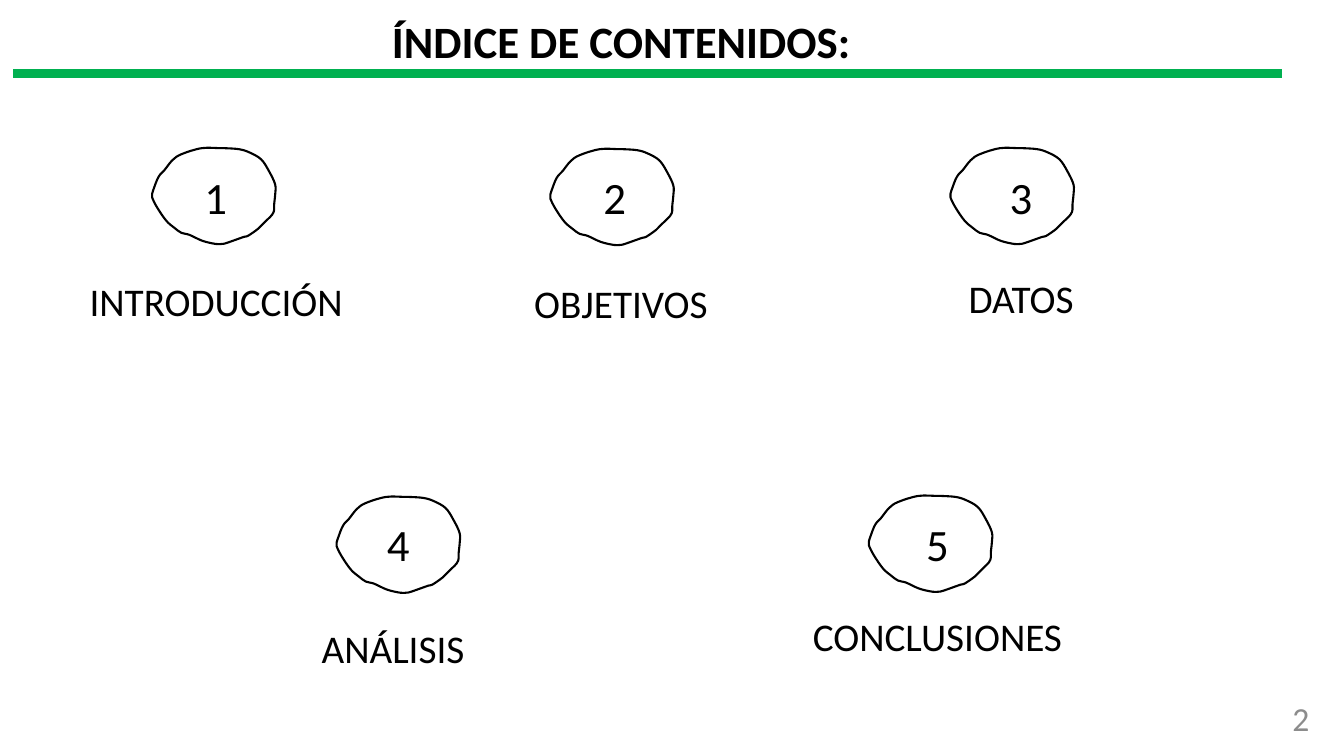
from dataclasses import dataclass

from lxml import etree
from pptx import Presentation
from pptx.dml.color import RGBColor
from pptx.enum.shapes import MSO_CONNECTOR
from pptx.enum.text import MSO_ANCHOR, MSO_AUTO_SIZE, PP_ALIGN
from pptx.oxml.ns import qn
from pptx.slide import Slide
from pptx.util import Inches, Pt

STRAIGHT = MSO_CONNECTOR.STRAIGHT
TOP, MIDDLE = MSO_ANCHOR.TOP, MSO_ANCHOR.MIDDLE
GROW, FIXED = MSO_AUTO_SIZE.SHAPE_TO_FIT_TEXT, MSO_AUTO_SIZE.NONE
LEFT, CENTER, RIGHT = PP_ALIGN.LEFT, PP_ALIGN.CENTER, PP_ALIGN.RIGHT

FONT = "Calibri"
BLACK, GREEN, GRAY = "000000", "00B050", "8C8C8C"

# Hand-drawn ring, in hundredths of an inch from its top left corner
RING = [
    (91, 88), (74, 94), (69, 95), (63, 95), (50, 92), (37, 86), (29, 84),
    (22, 79), (14, 72), (5, 59), (0, 49), (0, 45), (2, 39), (5, 31), (8, 26),
    (12, 22), (20, 12), (29, 6), (49, 0), (68, 0), (72, 0), (86, 1), (96, 4),
    (108, 11), (116, 23), (122, 36), (122, 46), (121, 56), (121, 61),
    (119, 66), (111, 74), (105, 80), (95, 87),
]


@dataclass
class Box:
    left: float
    top: float
    width: float
    height: float


@dataclass
class Section:
    number: str
    title: str
    ring_left: float
    ring_top: float
    number_left: float
    number_top: float
    title_box: Box
    alignment: PP_ALIGN = CENTER


SECTIONS = [
    Section("1", "INTRODUCCIÓN", 1.51, 1.47, 1.79, 1.63, Box(0.79, 2.7, 2.78, 0.57), LEFT),
    Section("2", "OBJETIVOS", 5.46, 1.48, 5.75, 1.63, Box(5.09, 2.72, 2.14, 0.91)),
    Section("3", "DATOS", 9.43, 1.47, 9.78, 1.63, Box(9.06, 2.67, 2.14, 0.91)),
    Section("4", "ANÁLISIS", 3.34, 4.93, 3.6, 5.08, Box(2.83, 6.14, 2.14, 0.91)),
    Section("5", "CONCLUSIONES", 8.62, 4.92, 8.95, 5.08, Box(7.94, 6.03, 2.72, 0.91)),
]


def color(value: str) -> RGBColor:
    return RGBColor.from_string(value)


def add_text(slide: Slide, box: Box, text: str, size: int, alignment: PP_ALIGN = CENTER,
             text_color: str = BLACK, bold: bool = False,
             anchor: MSO_ANCHOR = TOP, auto_size: MSO_AUTO_SIZE = GROW) -> None:
    shape = slide.shapes.add_textbox(
        Inches(box.left), Inches(box.top), Inches(box.width), Inches(box.height))
    frame = shape.text_frame
    frame.word_wrap = True
    frame.auto_size = auto_size
    frame.vertical_anchor = anchor
    paragraph = frame.paragraphs[0]
    paragraph.alignment = alignment
    run = paragraph.add_run()
    run.text = text
    run.font.name = FONT
    run.font.size = Pt(size)
    run.font.bold = bold
    run.font.color.rgb = color(text_color)


def bend(segment: etree.ElementBase, index: int) -> None:
    """Turn the straight segment after a ring point into a smooth curve."""
    before, start, end, after = (RING[(index + shift) % len(RING)] for shift in (-1, 0, 1, 2))
    segment.tag = qn("a:cubicBezTo")
    controls = [
        [s + (e - b) / 6 for b, s, e in zip(before, start, end)],
        [e - (a - s) / 6 for s, e, a in zip(start, end, after)],
    ]
    for position, (x, y) in enumerate(controls):
        point = etree.Element(qn("a:pt"), x=str(Inches(x / 100)), y=str(Inches(y / 100)))
        segment.insert(position, point)


def add_ring(slide: Slide, left: float, top: float) -> None:
    points = [(Inches(left + x / 100), Inches(top + y / 100)) for x, y in RING]
    builder = slide.shapes.build_freeform(*points[0])
    builder.add_line_segments(points[1:] + points[:1], close=True)
    shape = builder.convert_to_shape()
    for index, segment in enumerate(list(shape.element.iter(qn("a:lnTo")))):
        bend(segment, index)
    shape.shadow.inherit = False
    shape.fill.background()
    shape.line.color.rgb = color(BLACK)
    shape.line.width = Pt(1.5)


def add_rule(slide: Slide, left: float, right: float, height: float) -> None:
    rule = slide.shapes.add_connector(
        STRAIGHT, Inches(left), Inches(height), Inches(right), Inches(height))
    rule.line.color.rgb = color(GREEN)
    rule.line.width = Pt(6)
    etree.SubElement(rule.element.spPr, qn("a:effectLst"))


def main() -> None:
    presentation = Presentation()
    presentation.slide_width = Inches(40 / 3)
    presentation.slide_height = Inches(7.5)
    slide = presentation.slides.add_slide(presentation.slide_layouts[6])

    # Heading
    add_rule(slide, 0.13, 12.72, 0.73)
    add_text(slide, Box(2.83, 0.09, 6.67, 0.64), "ÍNDICE DE CONTENIDOS:", 32, bold=True)

    # Numbered sections
    for section in SECTIONS:
        add_ring(slide, section.ring_left, section.ring_top)
        add_text(slide, Box(section.number_left, section.number_top, 0.7, 0.64),
                 section.number, 32)
        add_text(slide, section.title_box, section.title, 28, section.alignment)

    # Page number
    add_text(slide, Box(10.09, 6.92, 3, 0.4), "2", 24, RIGHT, GRAY,
             anchor=MIDDLE, auto_size=FIXED)

    presentation.save("out.pptx")


if __name__ == "__main__":
    main()
